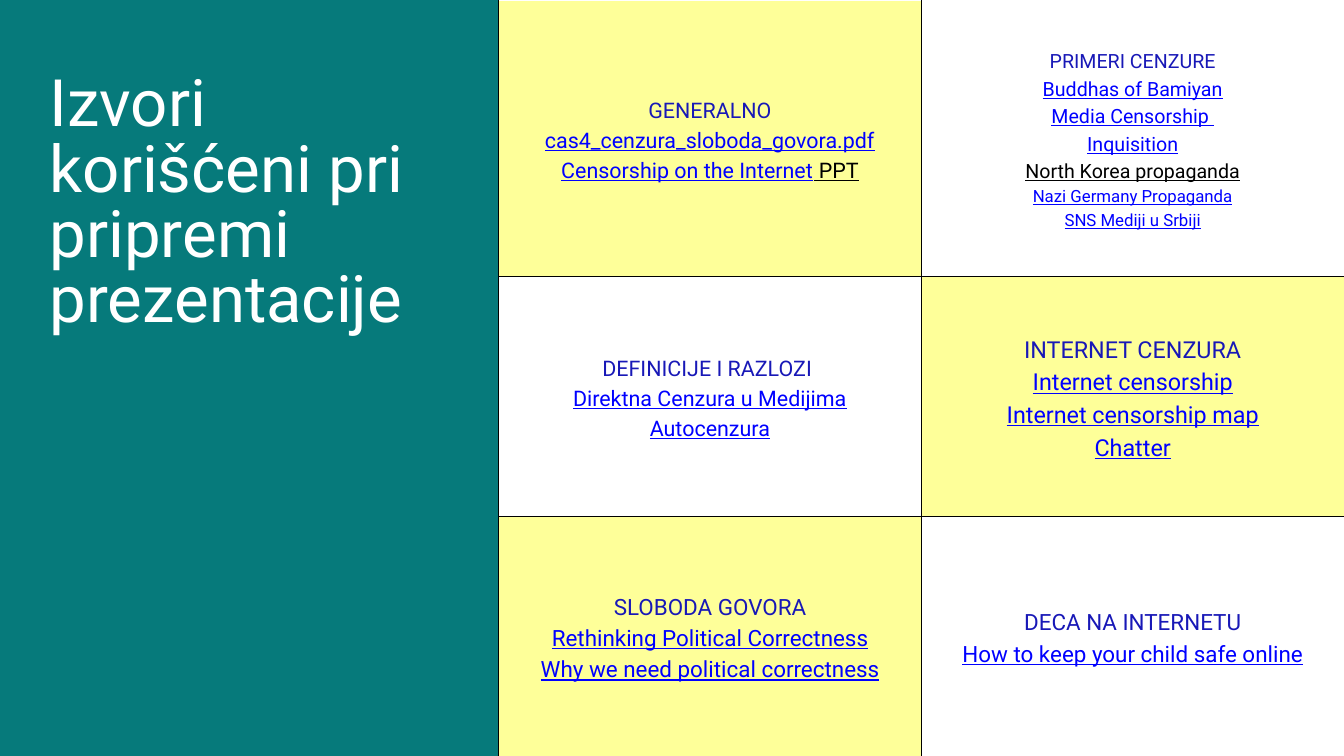
from lxml import etree
from pptx import Presentation
from pptx import util as u
from pptx.dml.color import RGBColor
from pptx.enum import shapes, text
from pptx.oxml.ns import qn

COLORS = {
    "panel": "067A7B",
    "white": "FFFFFF",
    "yellow": "FEFF99",
    "heading": "1818B7",
    "link": "0000FF",
    "black": "000000",
}
FONT = "Roboto"
SLIDE_W, SLIDE_H = 50.8, 28.58
PANEL_W = 18.85
ROW_HEIGHTS = [10.46, 9.06, 9.06]

# Each topic: text size, heading, then lines as (text, colour, own size or None).
TOPICS = [
    [
        (23, "GENERALNO", [
            [("cas4_cenzura_sloboda_govora.pdf", "link")],
            [("Censorship on the Internet", "link"), (" PPT", "black")],
        ]),
        (21, "PRIMERI CENZURE", [
            [("Buddhas of Bamiyan", "link")],
            [("Media Censorship ", "link")],
            [("Inquisition", "link")],
            [("North Korea propaganda", "black")],
            [("Nazi Germany Propaganda", "link", 18)],
            [("SNS Mediji u Srbiji", "link", 18)],
        ]),
    ],
    [
        (23, "DEFINICIJE I RAZLOZI ", [
            [("Direktna Cenzura u Medijima", "link")],
            [("Autocenzura", "link")],
        ]),
        (25, "INTERNET CENZURA", [
            [("Internet censorship", "link")],
            [("Internet censorship map", "link")],
            [("Chatter", "link")],
        ]),
    ],
    [
        (24, "SLOBODA GOVORA", [
            [("Rethinking Political Correctness", "link")],
            [("Why we need political correctness", "link")],
        ]),
        (24, "DECA NA INTERNETU", [
            [("How to keep your child safe online", "link")],
        ]),
    ],
]


def color(name):
    return RGBColor.from_string(COLORS[name])


class SlideBuilder:
    def __init__(self, slide):
        self.slide = slide

    def panel(self, left, top, width, height):
        panel = self.slide.shapes.add_shape(
            shapes.MSO_SHAPE.RECTANGLE, *map(u.Cm, (left, top, width, height)))
        panel.shadow.inherit = False
        panel.fill.solid()
        panel.fill.fore_color.rgb = color("panel")
        panel.line.fill.background()
        self.slide.shapes._spTree.insert(2, panel._element)

    def title(self, words, left, top, width, height, size):
        title = self.slide.shapes.title
        title.left, title.top, title.width, title.height = map(
            u.Cm, (left, top, width, height))
        frame = title.text_frame
        frame.text = words
        frame.word_wrap = True
        frame.auto_size = text.MSO_AUTO_SIZE.NONE
        frame.vertical_anchor = text.MSO_ANCHOR.TOP
        frame.margin_left = frame.margin_right = 0
        frame.margin_top = frame.margin_bottom = 0
        paragraph = frame.paragraphs[0]
        paragraph.alignment = text.PP_ALIGN.LEFT
        paragraph.line_spacing = u.Pt(size)
        self.style(paragraph.font, size, "white")

    def style(self, font, size, color_name, underline=False):
        font.name = FONT
        font.size = u.Pt(size)
        font.color.rgb = color(color_name)
        font.underline = underline

    def line(self, paragraph, parts, size, underline):
        paragraph.alignment = text.PP_ALIGN.CENTER
        size = parts[0][2] if len(parts[0]) > 2 else size
        paragraph.line_spacing = u.Pt(round(size * 1.4, 1))
        self.style(paragraph.font, size, parts[0][1], underline)
        for part in parts:
            run = paragraph.add_run()
            run.text = part[0]
            if part[1] != parts[0][1]:
                run.font.color.rgb = color(part[1])

    def borders(self, cell, sides):
        properties = cell._tc.get_or_add_tcPr()
        for index, (side, color_name) in enumerate(sides.items()):
            edge = etree.Element(qn(f"a:{side}"), w=str(u.Pt(0.75)))
            fill = etree.SubElement(edge, qn("a:solidFill"))
            etree.SubElement(fill, qn("a:srgbClr"), val=COLORS[color_name])
            properties.insert(index, edge)

    def topic(self, cell, size, heading, lines, fill):
        cell.fill.solid()
        cell.fill.fore_color.rgb = color(fill)
        cell.vertical_anchor = text.MSO_ANCHOR.MIDDLE
        cell.margin_left = cell.margin_right = u.Cm(0.53)
        cell.margin_top = cell.margin_bottom = u.Cm(0.53)
        frame = cell.text_frame
        self.line(frame.paragraphs[0], [(heading, "heading")], size, False)
        for parts in lines:
            self.line(frame.add_paragraph(), parts, size, True)

    def sources(self, topics, left, top, width, row_heights):
        columns = len(topics[0])
        table = self.slide.shapes.add_table(
            len(topics), columns,
            *map(u.Cm, (left, top, width, sum(row_heights)))).table
        table.first_row = table.horz_banding = False
        for row, height in zip(table.rows, row_heights):
            row.height = u.Cm(height)
        for r, row_topics in enumerate(topics):
            for c, (size, heading, lines) in enumerate(row_topics):
                cell = table.cell(r, c)
                fill = "white" if (r + c) % 2 else "yellow"
                self.topic(cell, size, heading, lines, fill)
                self.borders(cell, {
                    "lnL": "black",
                    "lnR": "white" if c == columns - 1 else "black",
                    "lnT": "white" if r == 0 else "black",
                    "lnB": "black",
                })


def main():
    deck = Presentation()
    deck.slide_width, deck.slide_height = u.Cm(SLIDE_W), u.Cm(SLIDE_H)
    builder = SlideBuilder(deck.slides.add_slide(deck.slide_layouts[5]))
    builder.panel(0, 0, PANEL_W, 29.08)
    builder.title("Izvori korišćeni pri pripremi prezentacije",
                  1.88, 2.82, 15.32, 10.36, 70)
    builder.sources(TOPICS, PANEL_W, 0, SLIDE_W - PANEL_W, ROW_HEIGHTS)
    deck.save("out.pptx")


if __name__ == "__main__":
    main()
